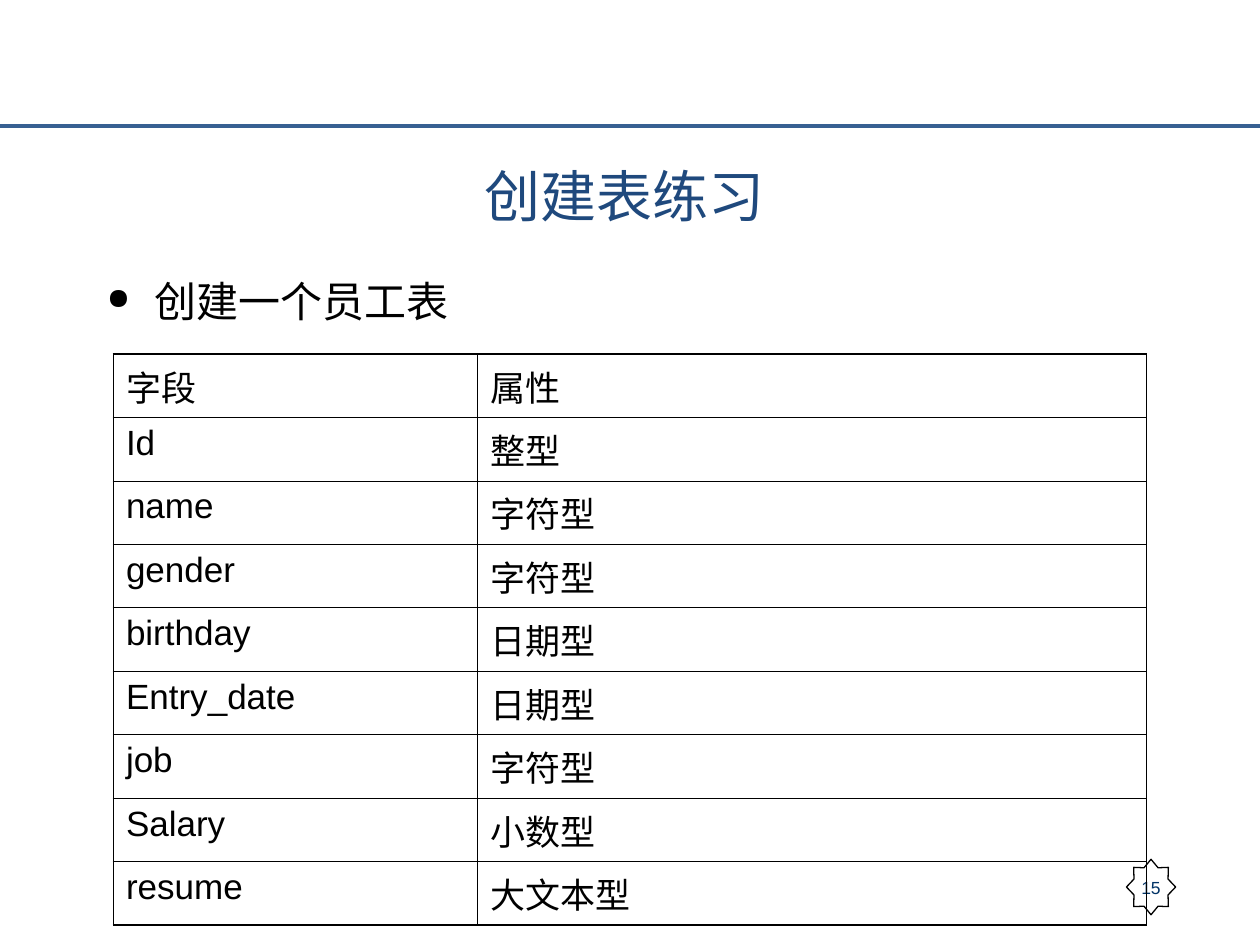
from lxml import etree
from pptx import Presentation
from pptx.dml.color import RGBColor
from pptx.enum.shapes import MSO_CONNECTOR, MSO_SHAPE
from pptx.enum.text import MSO_ANCHOR, PP_ALIGN
from pptx.oxml import parse_xml
from pptx.oxml.ns import nsdecls, qn
from pptx.util import Inches, Pt

COLORS = {
    "rule": "376092",
    "title": "1F497D",
    "number": "003366",
    "text": "000000",
    "border": "000000",
    "star": "FFFFFF",
}
CJK_FONT = "Noto Sans CJK SC"
FIELDS = [
    ("字段", "属性"),
    ("Id", "整型"),
    ("name", "字符型"),
    ("gender", "字符型"),
    ("birthday", "日期型"),
    ("Entry_date", "日期型"),
    ("job", "字符型"),
    ("Salary", "小数型"),
    ("resume", "大文本型"),
]


def write(text_frame, text, size, color, latin="Arial"):
    """Set one paragraph of text, with a CJK font for its Chinese letters."""
    text_frame.text = text
    paragraph = text_frame.paragraphs[0]
    font = paragraph.runs[0].font
    font.size = Pt(size)
    font.name = latin
    font.color.rgb = RGBColor.from_string(COLORS[color])
    east_asian = etree.Element(qn("a:ea"), typeface=CJK_FONT)
    font._element.find(qn("a:latin")).addnext(east_asian)
    return paragraph


def set_borders(cell, widths):
    """Draw the left, right, top and bottom borders, widths in points."""
    properties = cell._tc.get_or_add_tcPr()
    for index, (side, width) in enumerate(zip("LRTB", widths)):
        properties.insert(index, parse_xml(
            f'<a:ln{side} {nsdecls("a")} w="{Pt(width)}"><a:solidFill>'
            f'<a:srgbClr val="{COLORS["border"]}"/></a:solidFill></a:ln{side}>'))


presentation = Presentation()
presentation.slide_width = Inches(10)
presentation.slide_height = Inches(7.5)
slide = presentation.slides.add_slide(presentation.slide_layouts[5])
shapes = slide.shapes

# Header rule
rule = shapes.add_connector(
    MSO_CONNECTOR.STRAIGHT, Inches(0), Inches(1), Inches(10.04), Inches(1))
rule.line.color.rgb = RGBColor.from_string(COLORS["rule"])
rule.line.width = Pt(2.25)
etree.SubElement(rule._element.spPr, qn("a:effectLst"))

# Slide number star
star = shapes.add_shape(
    MSO_SHAPE.STAR_8_POINT, Inches(8.94), Inches(6.82), Inches(0.39), Inches(0.44))
star.shadow.inherit = False
star.fill.solid()
star.fill.fore_color.rgb = RGBColor.from_string(COLORS["star"])
star.line.color.rgb = RGBColor.from_string(COLORS["border"])
star.line.width = Pt(0.75)
star.text_frame.word_wrap = False
star.text_frame.vertical_anchor = MSO_ANCHOR.MIDDLE
write(star.text_frame, "15", 10, "number").alignment = PP_ALIGN.CENTER

# Title
title = shapes.title
title.left, title.top = Inches(0.75), Inches(1.23)
title.width, title.height = Inches(8.42), Inches(0.71)
title.text_frame.vertical_anchor = MSO_ANCHOR.TOP
heading = write(title.text_frame, "创建表练习", 32, "title", CJK_FONT)
heading.alignment = PP_ALIGN.CENTER

# Field table
row_height = Inches(0.44)
frame = shapes.add_table(
    len(FIELDS), 2, Inches(0.9), Inches(2.81), Inches(8.2), row_height * len(FIELDS))
table = frame.table
table.columns[0].width = Inches(2.89)
table.columns[1].width = Inches(5.31)
outer, inner = 1.08, 0.45
last_row = len(FIELDS) - 1
for row, values in enumerate(FIELDS):
    table.rows[row].height = row_height
    for column, value in enumerate(values):
        cell = table.cell(row, column)
        cell.fill.background()
        write(cell.text_frame, value, 20, "text").font.bold = False
        cell.text_frame.paragraphs[0].runs[0].font.bold = False
        edges = (column == 0, column == 1, row == 0, row == last_row)
        set_borders(cell, [outer if edge else inner for edge in edges])

# Bullet line
box = shapes.add_textbox(Inches(0.75), Inches(2.18), Inches(8.53), Inches(0.46))
box.text_frame.word_wrap = True
bullet = write(box.text_frame, "创建一个员工表", 24, "text")
properties = bullet._p.get_or_add_pPr()
properties.set("marL", str(Inches(0.38)))
properties.set("indent", str(-Inches(0.38)))
bullet_color = etree.SubElement(properties, qn("a:buClr"))
etree.SubElement(bullet_color, qn("a:srgbClr"), val=COLORS["text"])
etree.SubElement(properties, qn("a:buSzPct"), val="70000")
etree.SubElement(properties, qn("a:buChar"), char="●")
bullet.line_spacing = 0.9

presentation.save("out.pptx")
